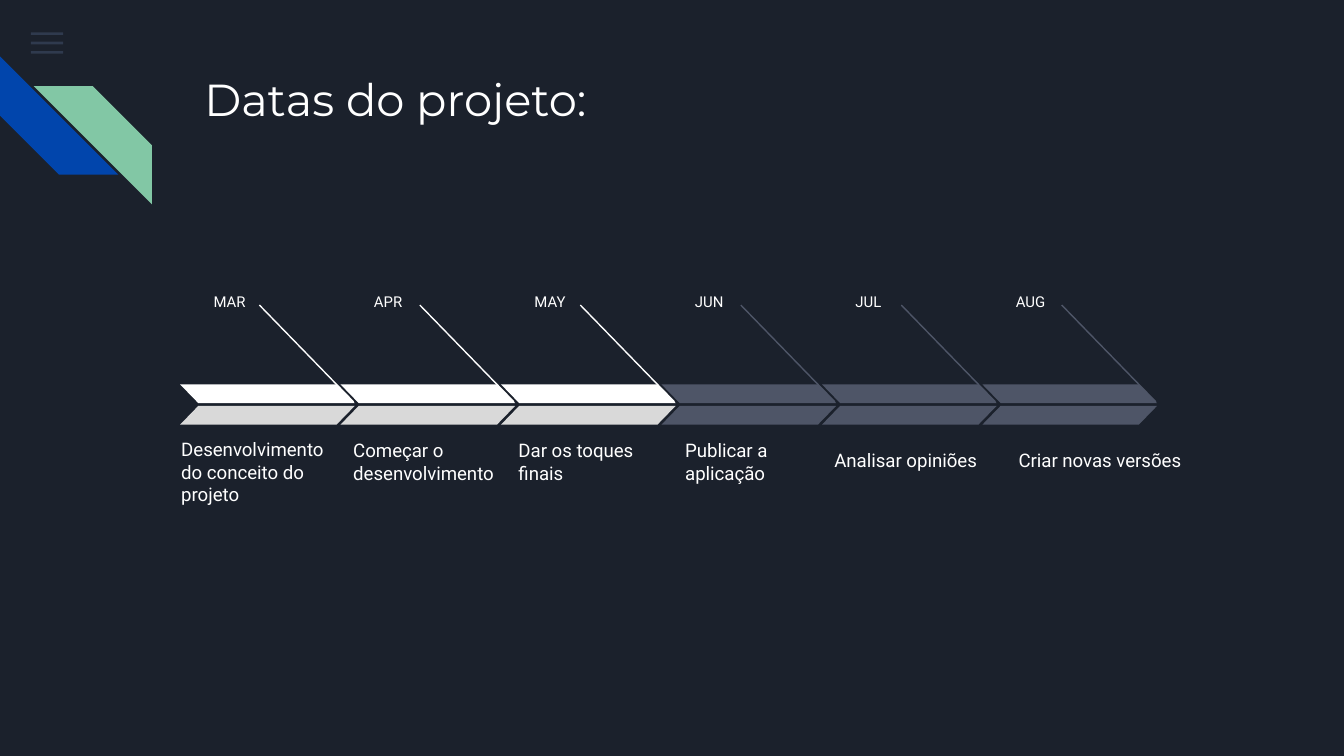
from lxml import etree
from pptx import Presentation
from pptx.dml.color import RGBColor
from pptx.enum import shapes as kinds, text as layout
from pptx.oxml import ns
from pptx.util import Inches, Pt

NIGHT = RGBColor(0x1B, 0x21, 0x2C)
WHITE = RGBColor(0xFF, 0xFF, 0xFF)
SILVER = RGBColor(0xD9, 0xD9, 0xD9)
SLATE = RGBColor(0x4E, 0x55, 0x67)
STEEL = RGBColor(0x55, 0x68, 0x8B)
BLUE = RGBColor(0x01, 0x45, 0xAC)
GREEN = RGBColor(0x82, 0xC7, 0xA5)

TITLE = "Datas do projeto:"
DONE = (WHITE, SILVER)
PLANNED = (SLATE, SLATE)
MILESTONES = [
    ("MAR", "Desenvolvimento do conceito do projeto", (1.25, 3.42, 1.28), DONE),
    ("APR", "Começar o desenvolvimento", (2.53, 3.26, 1.32), DONE),
    ("MAY", "Dar os toques finais", (3.76, 3.26, 1.24), DONE),
    ("JUN", "Publicar a aplicação", (5, 3.26, 1.24), PLANNED),
    ("JUL", "Analisar opiniões", (6.11, 3.17, 1.3), PLANNED),
    ("AUG", "Criar novas versões", (7.48, 3.17, 1.42), PLANNED),
]
STEP_LEFT = 1.34
STEP_PITCH = 5.97 / 5

deck = Presentation()
deck.slide_width = Inches(10)
deck.slide_height = deck.slide_width * 9 // 16
slide = deck.slides.add_slide(deck.slide_layouts[5])
slide.background.fill.solid()
slide.background.fill.fore_color.rgb = NIGHT


def add_block(kind, box, color, adjustment=None, flipped=False):
    block = slide.shapes.add_shape(kind, *map(Inches, box))
    block.shadow.inherit = False
    block.fill.solid()
    block.fill.fore_color.rgb = color
    block.line.fill.background()
    if adjustment is not None:
        block.adjustments[0] = adjustment
    if flipped:
        block._element.spPr.find(ns.qn("a:xfrm")).set("flipH", "1")
    return block


def write(holder, words, size, font, anchor=layout.MSO_ANCHOR.TOP):
    frame = holder.text_frame
    frame.text = words
    frame.word_wrap = True
    frame.auto_size = layout.MSO_AUTO_SIZE.NONE
    frame.vertical_anchor = anchor
    frame.margin_left = frame.margin_right = Inches(0.1)
    frame.margin_top = frame.margin_bottom = Inches(0.1)
    paragraph = frame.paragraphs[0]
    paragraph.alignment = layout.PP_ALIGN.LEFT
    run = paragraph.runs[0]
    run.font.size = Pt(size)
    run.font.name = font
    run.font.color.rgb = WHITE


def add_label(box, words, size, anchor=layout.MSO_ANCHOR.TOP):
    label = slide.shapes.add_textbox(*map(Inches, box))
    write(label, words, size, "Roboto", anchor)


def add_leader(start, end, color):
    leader = slide.shapes.add_connector(
        kinds.MSO_CONNECTOR.STRAIGHT, *map(Inches, start + end))
    leader.line.color.rgb = color
    leader.line.width = Pt(0.75)
    etree.SubElement(leader._element.spPr, ns.qn("a:effectLst"))


for row in range(3):
    menu_bar = add_block(kinds.MSO_SHAPE.RECTANGLE,
                         (0.23, 0.24 + 0.07 * row, 0.24, 0.02), STEEL)
    tint = menu_bar._element.spPr.find(
        ns.qn("a:solidFill")).find(ns.qn("a:srgbClr"))
    etree.SubElement(tint, ns.qn("a:alpha")).set("val", "36000")

blue_stripe = add_block(kinds.MSO_SHAPE.DIAGONAL_STRIPE,
                        (0, 0.42, 0.88, 0.88), BLUE, 0.5)
blue_stripe.rotation = 270
add_block(kinds.MSO_SHAPE.DIAGONAL_STRIPE,
          (0.25, 0.64, 0.88, 0.88), GREEN, 0.5, flipped=True)

title = slide.shapes.title
title.left, title.top = Inches(1.42), Inches(0.43)
title.width, title.height = Inches(7.7), Inches(1)
write(title, TITLE, 24, "Montserrat")

for index, (month, task, (left, top, width), (upper, lower)) in enumerate(MILESTONES):
    step = STEP_LEFT + index * STEP_PITCH
    add_label((step + 0.15, 2.08, 0.59, 0.23), month, 8)
    add_label((left, top, width, 0.44), task, 10, layout.MSO_ANCHOR.BOTTOM)
    add_leader((step + 0.59, 2.27), (step + 1.29, 2.99), upper)
    add_block(kinds.MSO_SHAPE.PARALLELOGRAM,
              (step, 2.86, 1.3, 0.14), upper, 0.97, flipped=True)
    add_block(kinds.MSO_SHAPE.PARALLELOGRAM,
              (step, 3.02, 1.3, 0.14), lower, 0.97)

deck.save("out.pptx")
